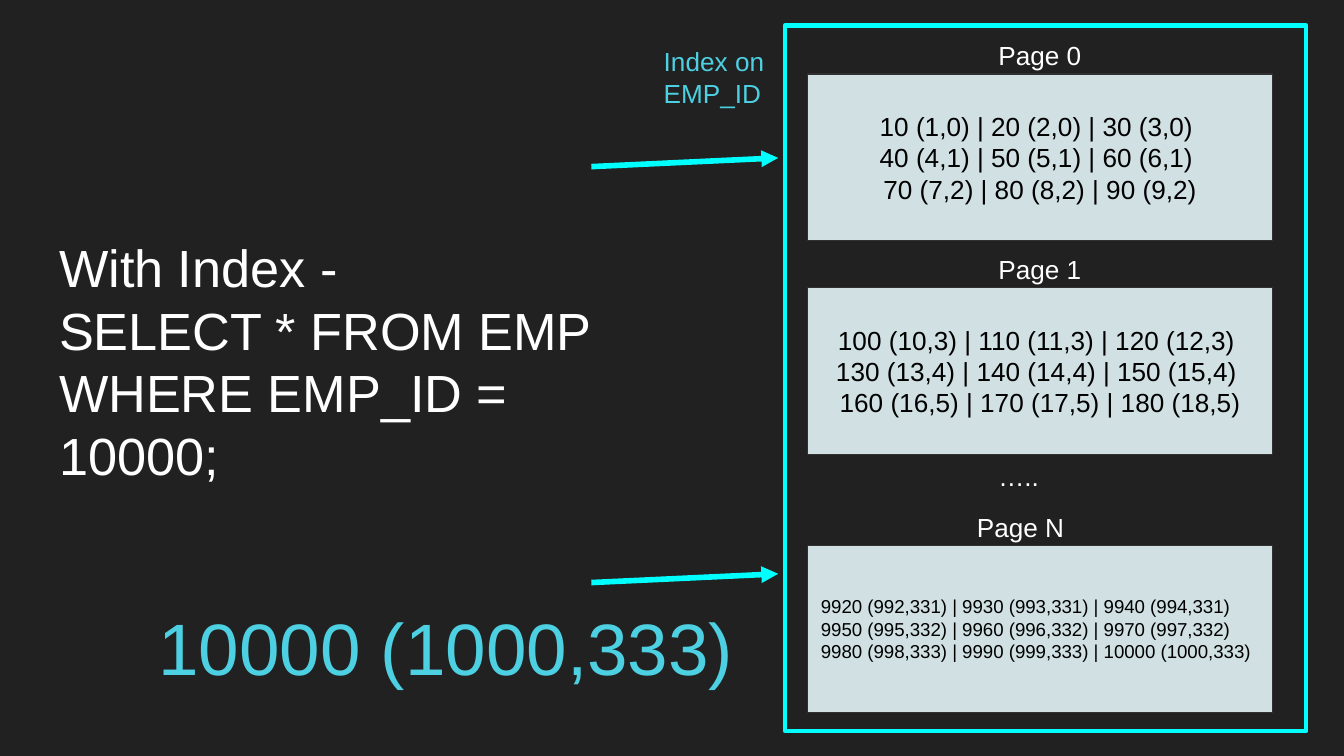
import pptx
import pptx.util
import pptx.dml.color
import pptx.enum.shapes
import pptx.enum.text
import pptx.oxml
import pptx.oxml.ns

RGB = pptx.dml.color.RGBColor
DARK = RGB(0x21, 0x21, 0x21)
WHITE = RGB(0xFF, 0xFF, 0xFF)
BLACK = RGB(0, 0, 0)
CYAN = RGB(0, 0xFF, 0xFF)
TEAL = RGB(0x4D, 0xD0, 0xE1)
PALE = RGB(0xD0, 0xE0, 0xE3)
EDGE = RGB(0x30, 0x30, 0x30)

ALIGN = pptx.enum.text.PP_ALIGN
ANCHOR = pptx.enum.text.MSO_ANCHOR
FIT = pptx.enum.text.MSO_AUTO_SIZE
SCALE = 4572  # EMU in one px, 200 px to the inch

# Pages: top, label left, label, text size, alignment, rows
PAGES = [
    (72, 298, "Page 0", 14, ALIGN.CENTER,
     ["10 (1,0) | 20 (2,0) | 30 (3,0) ",
      "40 (4,1) | 50 (5,1) | 60 (6,1) ",
      "70 (7,2) | 80 (8,2) | 90 (9,2)"]),
    (390, 298, "Page 1", 14, ALIGN.CENTER,
     ["100 (10,3) | 110 (11,3) | 120 (12,3) ",
      "130 (13,4) | 140 (14,4) | 150 (15,4) ",
      "160 (16,5) | 170 (17,5) | 180 (18,5)"]),
    (774, 266, "Page N", 10, ALIGN.JUSTIFY,
     ["9920 (992,331) | 9930 (993,331) | 9940 (994,331) ",
      "9950 (995,332) | 9960 (996,332) | 9970 (997,332) ",
      "9980 (998,333) | 9990 (999,333) | 10000 (1000,333)"]),
]


def px(*nums):
    return [pptx.util.Emu(num * SCALE) for num in nums]


def assign(item, values):
    for name, value in values.items():
        setattr(item, name, value)


def write(shape, lines, size, color, align=ALIGN.LEFT, anchor=ANCHOR.TOP,
          fit=FIT.NONE):
    frame = shape.text_frame
    inset = px(20)[0]
    assign(frame, {"word_wrap": True, "auto_size": fit,
                   "vertical_anchor": anchor,
                   "margin_left": inset, "margin_right": inset,
                   "margin_top": inset, "margin_bottom": inset})
    frame.text = "\n".join(lines)
    for para in frame.paragraphs:
        para.alignment = align
        for run in para.runs:
            assign(run.font, {"name": "Arial", "size": pptx.util.Pt(size)})
            run.font.color.rgb = color


def label(slide, box, text, size, color, **style):
    write(slide.shapes.add_textbox(*px(*box)), [text], size, color, **style)


def rect(slide, box, fill, line, width):
    kind = pptx.enum.shapes.MSO_SHAPE.RECTANGLE
    shape = slide.shapes.add_shape(kind, *px(*box))
    shape.shadow.inherit = False
    if fill is None:
        shape.fill.background()
    else:
        shape.fill.solid()
        shape.fill.fore_color.rgb = fill
    shape.line.color.rgb = line
    shape.line.width = pptx.util.Pt(width)
    return shape


def arrow(slide, left, top, wide, rise):
    kind = pptx.enum.shapes.MSO_CONNECTOR.STRAIGHT
    link = slide.shapes.add_connector(
        kind, *px(left, top, left + wide, top - rise))
    link.line.color.rgb = CYAN
    link.line.width = pptx.util.Pt(3)
    space = pptx.oxml.ns.nsdecls("a")
    link.line._get_or_add_ln().append(
        pptx.oxml.parse_xml(f'<a:tailEnd {space} type="triangle"/>'))
    link._element.spPr.append(
        pptx.oxml.parse_xml(f"<a:effectLst {space}/>"))


def query(slide, left, top, wide, high):
    title = slide.shapes.title
    spots = px(left, top, wide, high)
    assign(title, dict(zip(("left", "top", "width", "height"), spots)))
    write(title, ["With Index -", "SELECT * FROM EMP WHERE EMP_ID = 10000;"],
          28, WHITE)


def index(slide, left, top, wide, high):
    rect(slide, (left, top, wide, high), None, CYAN, 2.25)
    for down, over, name, size, align, rows in PAGES:
        page = rect(slide, (left + 34, top + down, 692, 248), PALE, EDGE, 0.75)
        write(page, rows, size, BLACK, align, ANCHOR.MIDDLE)
        label(slide, (left + over, top + down - 71, 180, 88), name, 14, WHITE,
              fit=FIT.SHAPE_TO_FIT_TEXT)
    # Skipped pages
    label(slide, (left + 298, top + 627, 180, 88), "…..", 14, WHITE,
          fit=FIT.SHAPE_TO_FIT_TEXT)


def main():
    deck = pptx.Presentation()
    deck.slide_width, deck.slide_height = px(2000, 1125)
    slide = deck.slides.add_slide(deck.slide_layouts.get_by_name("Title Only"))
    slide.background.fill.solid()
    slide.background.fill.fore_color.rgb = DARK

    query(slide, 68, 330, 932, 466)
    index(slide, 1168, 38, 776, 1050)

    # Index name, arrows and the entry found
    label(slide, (968, 48, 262, 134), "Index on EMP_ID", 14, TEAL,
          fit=FIT.SHAPE_TO_FIT_TEXT)
    for top in (248, 867):
        arrow(slide, 880, top, 278, 13)
    label(slide, (216, 877, 932, 180), "10000 (1000,333)", 39, TEAL,
          align=ALIGN.JUSTIFY)
    deck.save("out.pptx")


if __name__ == "__main__":
    main()
